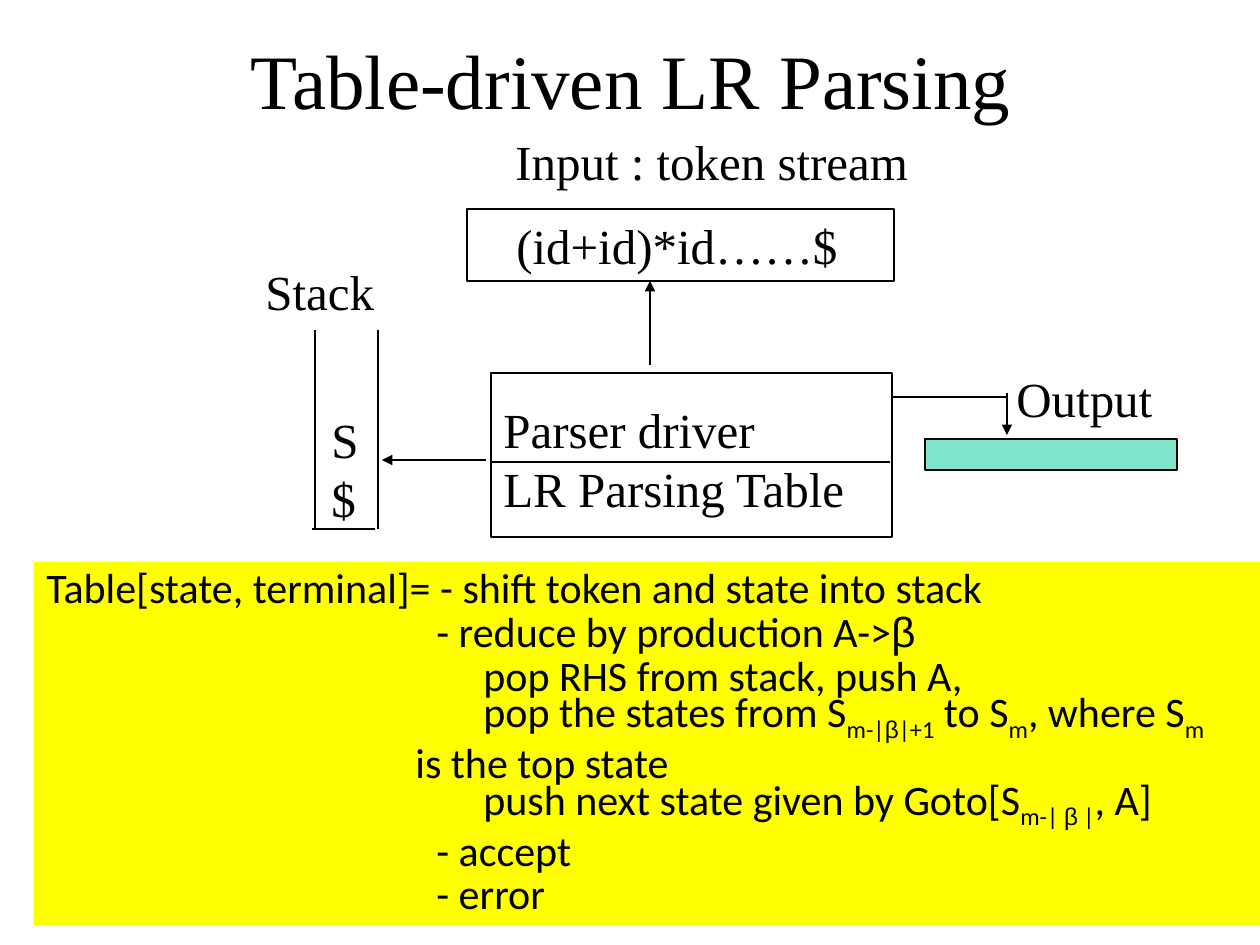
from dataclasses import dataclass

from lxml import etree
from pptx import Presentation
from pptx.dml.color import RGBColor
from pptx.enum.shapes import MSO_CONNECTOR, MSO_SHAPE
from pptx.enum.text import MSO_ANCHOR, PP_ALIGN
from pptx.oxml.ns import qn
from pptx.util import Emu, Pt

RECT = MSO_SHAPE.RECTANGLE
STRAIGHT = MSO_CONNECTOR.STRAIGHT
LEFT, CENTER = PP_ALIGN.LEFT, PP_ALIGN.CENTER
TOP, MIDDLE = MSO_ANCHOR.TOP, MSO_ANCHOR.MIDDLE


@dataclass(frozen=True)
class Theme:
    """Colours, fonts and sizes of the slide."""
    ink: str = "000000"
    output: str = "00CC99"
    panel: str = "FFFF00"
    serif: str = "Times New Roman"
    sans: str = "Calibri"
    greek: str = "Arial"
    title: int = 44
    label: int = 28
    rule: int = 24
    leading: int = 25
    thick: float = 1.5
    thin: float = 0.75


T = Theme()
ACTION, STEP, WRAPPED = 390, 437, 369
RULES = [
    (0, ["Table[state, terminal]= - shift token and state into stack"]),
    (ACTION, ["- reduce by production A->", "β"]),
    (STEP, ["pop RHS from stack, push A,"]),
    (STEP, ["pop the states from S", "_m-|", "_β", "_|+1", " to S", "_m",
            ", where S", "_m"]),
    (WRAPPED, ["is the top state"]),
    (STEP, ["push next state given by Goto[S", "_m-| ", "_β", "_ |", ", A]"]),
    (ACTION, ["- accept"]),
    (ACTION, ["- error"]),
]


def px(n):
    """Turn pixels at 126 to the inch into EMU."""
    return Emu(round(n * 914400 / 126))


def color(value):
    """Turn a hex string into a colour."""
    return RGBColor.from_string(value)


def style(p, font, size, indent=0):
    """Set the font and left indent of a paragraph."""
    if indent:
        p._p.get_or_add_pPr().set("marL", str(px(indent)))
    p.font.name, p.font.size = font, Pt(size)
    p.font.color.rgb = color(T.ink)


def write(tf, lines, size=T.label, align=LEFT, indent=0):
    """Write serif lines into a text frame."""
    tf.vertical_anchor = TOP
    for i, line in enumerate(lines):
        p = tf.paragraphs[0] if i == 0 else tf.add_paragraph()
        p.alignment = align
        style(p, T.serif, size, indent)
        p.add_run().text = line


def label(s, x, y, w, h, *lines, **options):
    """Place a text box of serif lines."""
    tf = s.shapes.add_textbox(px(x), px(y), px(w), px(h)).text_frame
    tf.word_wrap = True
    write(tf, lines, **options)
    return tf


def box(s, x, y, w, h, fill=None, outlined=True):
    """Place a rectangle."""
    sp = s.shapes.add_shape(RECT, px(x), px(y), px(w), px(h))
    sp.shadow.inherit = False
    if fill:
        sp.fill.solid()
        sp.fill.fore_color.rgb = color(fill)
    else:
        sp.fill.background()
    if outlined:
        sp.line.color.rgb = color(T.ink)
        sp.line.width = Pt(T.thick)
    else:
        sp.line.fill.background()
    return sp


def line(s, x1, y1, x2, y2, width=T.thick, arrow=False):
    """Draw a line, with an arrowhead at its end if asked."""
    c = s.shapes.add_connector(STRAIGHT, px(x1), px(y1), px(x2), px(y2))
    c.line.color.rgb = color(T.ink)
    c.line.width = Pt(width)
    if arrow:
        etree.SubElement(c.line._get_or_add_ln(), qn("a:tailEnd"), type="triangle")
    etree.SubElement(c._element.spPr, qn("a:effectLst"))


def title(s, x, y, w, h):
    """Place the slide title."""
    tf = label(s, x, y, w, h, "Table-driven LR Parsing", size=T.title, align=CENTER)
    tf.vertical_anchor = MIDDLE


def token_input(s, x, y, w, h):
    """Place the input tape under its label."""
    label(s, x + 36, y, 440, 72, "Input : token stream")
    tape = box(s, x, y + h - 72, w, 72)
    write(tape.text_frame, ["(id+id)*id……$"], indent=37)


def stack(s, x, y, w, h):
    """Place the open-topped stack under its label."""
    label(s, x - 62, y - 75, 160, 72, "Stack")
    for side in (x, x + w):
        line(s, side, y, side, y + h, T.thin)
    line(s, x - 3, y + h, x + w - 3, y + h, T.thin)
    label(s, x + 4, y + 73, 58, 131, "S", "$")


def parser(s, x, y, w, h):
    """Place the driver and its table with arrows to input and stack."""
    box(s, x, y, w, h)
    label(s, x, y + 20, 392, 131, "Parser driver", "LR Parsing Table")
    line(s, x, y + 89, x + w - 2, y + 89, T.thin)
    line(s, x + 159, y - 8, x + 159, y - 92, arrow=True)
    line(s, x - 5, y + 87, x - 109, y + 87, arrow=True)


def output(s, x, y, w, h):
    """Place the output bar, its label and the arrow leading to it."""
    bar = box(s, x, y, w, h, T.output)
    shade = bar.fill._xPr.find(".//" + qn("a:srgbClr"))
    etree.SubElement(shade, qn("a:alpha"), val="50000")
    label(s, x + 79, y - 77, 185, 72, "Output")
    line(s, x - 32, y - 42, x + 83, y - 42)
    line(s, x + 82, y - 46, x + 82, y - 4, arrow=True)


def rules(s, x, y, w, h):
    """Place the panel of table actions; a leading underscore marks a subscript."""
    tf = box(s, x, y, w, h, T.panel, outlined=False).text_frame
    tf.word_wrap = True
    tf.vertical_anchor = TOP
    for i, (indent, parts) in enumerate(RULES):
        p = tf.paragraphs[0] if i == 0 else tf.add_paragraph()
        p.alignment = LEFT
        p.line_spacing = Pt(T.leading)
        style(p, T.sans, T.rule, indent)
        for part in parts:
            r = p.add_run()
            r.text = part.removeprefix("_")
            if part.startswith("_"):
                r._r.get_or_add_rPr().set("baseline", "-25000")
            if r.text == "β":
                r.font.name = T.greek


def main():
    """Build and save the slide."""
    prs = Presentation()
    prs.slide_width, prs.slide_height = px(1260), px(945)
    s = prs.slides.add_slide(prs.slide_layouts[6])
    title(s, 64, 0, 1134, 158)
    token_input(s, 467, 125, 427, 156)
    stack(s, 315, 330, 63, 199)
    parser(s, 491, 373, 401, 164)
    output(s, 925, 439, 252, 31)
    rules(s, 34, 562, 1226, 363)
    prs.save("out.pptx")


if __name__ == "__main__":
    main()
